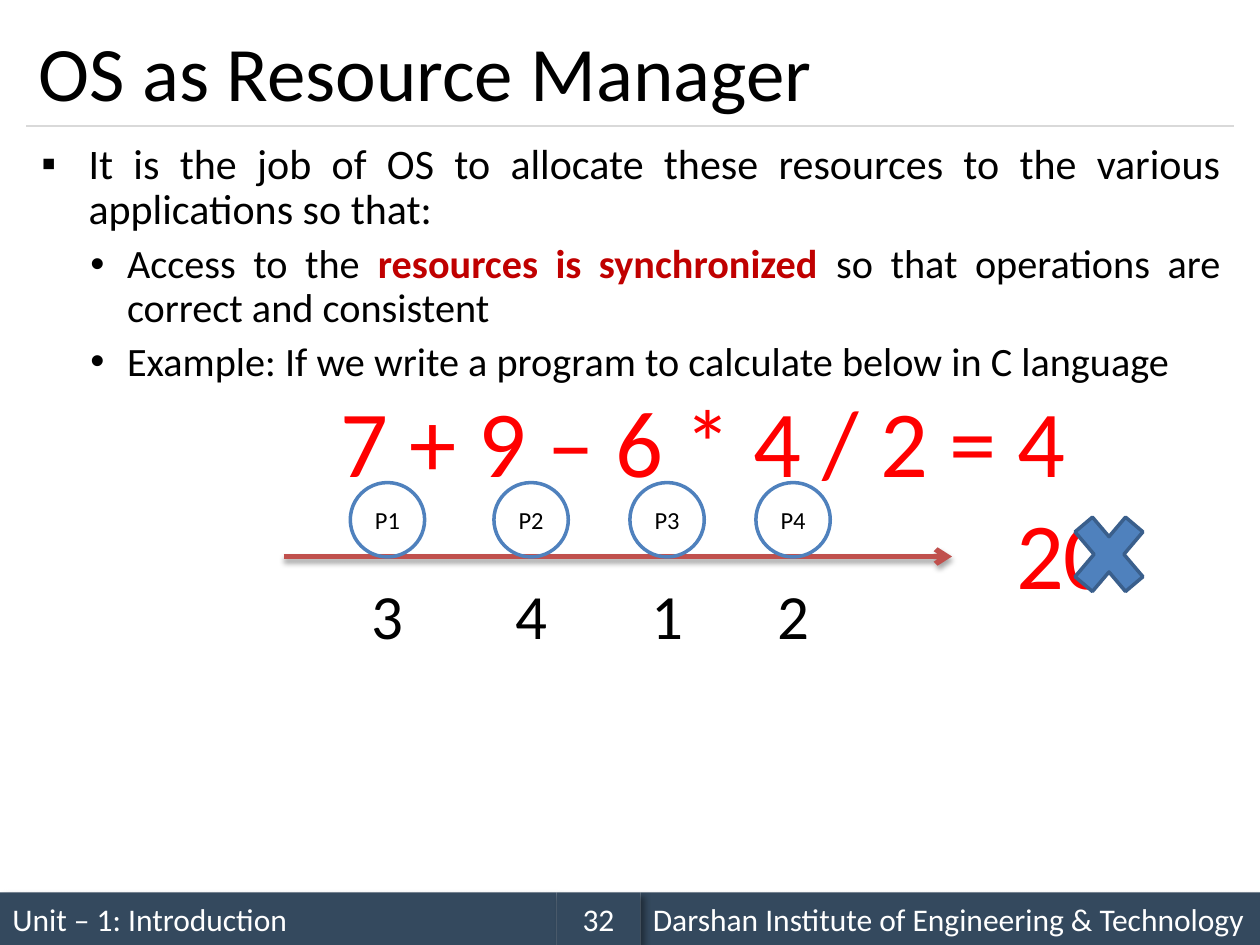
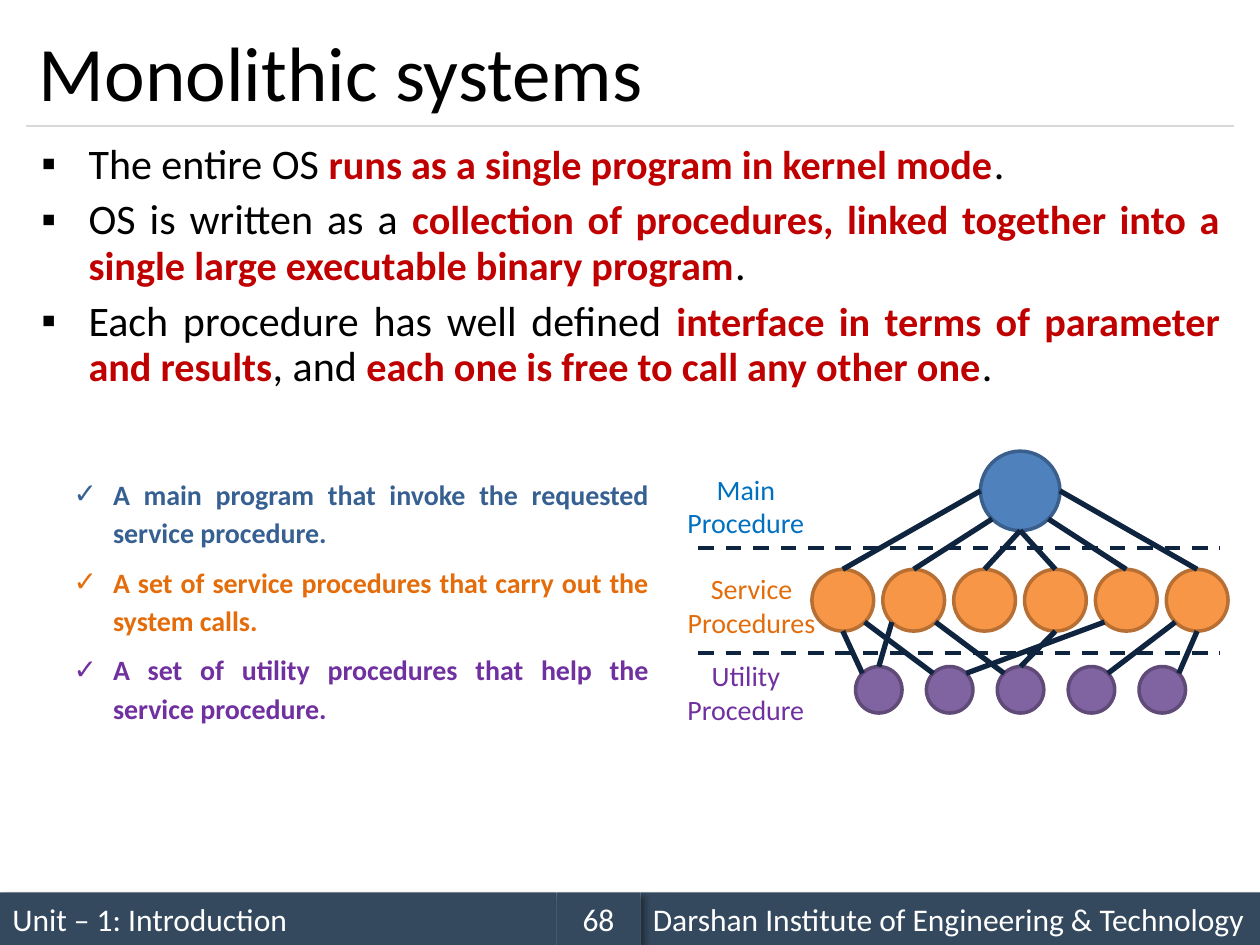
import dataclasses
import math

import lxml.etree
import pptx
import pptx.dml.color
import pptx.enum.dml
import pptx.enum.shapes
import pptx.enum.text
import pptx.oxml.ns
import pptx.util

Pt = pptx.util.Pt
Shape = pptx.enum.shapes.MSO_SHAPE
Align = pptx.enum.text.PP_ALIGN
Anchor = pptx.enum.text.MSO_ANCHOR

DIAGONAL = math.sqrt(0.5)
DIRECTIONS = {
    "top": (0, -1), "bottom": (0, 1), "left": (-1, 0), "right": (1, 0),
    "top left": (-DIAGONAL, -DIAGONAL), "top right": (DIAGONAL, -DIAGONAL),
    "bottom left": (-DIAGONAL, DIAGONAL), "bottom right": (DIAGONAL, DIAGONAL),
}


@dataclasses.dataclass
class ListStyle:
    size: float
    left: float
    hanging: float = 0
    bullet: str = ""
    level: int = 0
    color: str = "000000"
    bold: bool = False
    line_spacing: float = 0.9
    before: float = 6
    after: float = 0


POINT = ListStyle(24, 27, 27, "▪")
SUBPOINT = ListStyle(23, 49, 21, "•", level=1)


def rgb(color):
    return pptx.dml.color.RGBColor.from_string(color)


def add_element(parent, tag, **attributes):
    element = lxml.etree.SubElement(parent, pptx.oxml.ns.qn(tag))
    for name, value in attributes.items():
        element.set(name, str(value))
    return element


class Deck:
    font = "Calibri"
    black = "000000"
    white = "FFFFFF"
    emphasis = "C00000"
    band = "34495E"
    rule = "D9D9D9"

    def __init__(self):
        self.presentation = pptx.Presentation()
        self.presentation.slide_width = Pt(720)
        self.presentation.slide_height = Pt(540)
        self.slide = None

    def new_slide(self, title, number):
        layout = self.presentation.slide_layouts[1]
        self.slide = self.presentation.slides.add_slide(layout)
        self.footer(0, 318, "Unit – 1: Introduction")
        self.line((15, 72), (705, 72), self.rule, 0.75)
        self.footer(366, 354, "Darshan Institute of Engineering & Technology")
        self.footer(318, 48, str(number), Align.CENTER)
        shape = self.slide.shapes.title
        self.place(shape, 15, 9, 690, 63)
        self.set_text(shape, title, 44, self.black, Align.LEFT)

    def place(self, shape, left, top, width, height):
        shape.left, shape.top = Pt(left), Pt(top)
        shape.width, shape.height = Pt(width), Pt(height)

    def format_run(self, run, size, color, bold=False):
        run.font.name = self.font
        run.font.size = Pt(size)
        run.font.bold = bold
        run.font.color.rgb = rgb(color)

    def set_text(self, shape, text, size, color, alignment, anchor=Anchor.MIDDLE):
        frame = shape.text_frame
        frame.text = text
        frame.vertical_anchor = anchor
        frame.auto_size = pptx.enum.text.MSO_AUTO_SIZE.NONE
        for paragraph in frame.paragraphs:
            paragraph.alignment = alignment
            for run in paragraph.runs:
                self.format_run(run, size, color)

    def footer(self, left, width, text, alignment=Align.LEFT):
        shape = self.shape(Shape.RECTANGLE, left, 510, width, 30, fill=self.band)
        self.set_text(shape, text, 18, self.white, alignment)
        self.shadow(shape, 40, 4, 3, 45)

    def shadow(self, shape, opacity, blur, distance, angle):
        properties = shape.element.spPr
        effects = properties.find(pptx.oxml.ns.qn("a:effectLst"))
        outer = add_element(effects, "a:outerShdw", blurRad=Pt(blur), dist=Pt(distance),
                            dir=angle * 60000, rotWithShape=0)
        color = add_element(outer, "a:srgbClr", val=self.black)
        add_element(color, "a:alpha", val=opacity * 1000)

    def shape(self, kind, left, top, width, height, fill=None, outline=None):
        shape = self.slide.shapes.add_shape(kind, Pt(left), Pt(top), Pt(width), Pt(height))
        shape.shadow.inherit = False
        if fill:
            shape.fill.solid()
            shape.fill.fore_color.rgb = rgb(fill)
        else:
            shape.fill.background()
        if outline:
            shape.line.color.rgb = rgb(outline)
            shape.line.width = Pt(2)
        else:
            shape.line.fill.background()
        return shape

    def circle(self, center, diameter, fill=None, outline=None, text="", size=14):
        x, y = center
        shape = self.shape(Shape.OVAL, x - diameter / 2, y - diameter / 2,
                           diameter, diameter, fill, outline)
        if text:
            frame = shape.text_frame
            frame.margin_left = frame.margin_right = 0
            frame.margin_top = frame.margin_bottom = 0
            self.set_text(shape, text, size, self.black, Align.CENTER)
        return shape

    def line(self, start, end, color, width, dashed=False, arrow=False):
        points = [Pt(value) for value in (*start, *end)]
        straight = pptx.enum.shapes.MSO_CONNECTOR.STRAIGHT
        connector = self.slide.shapes.add_connector(straight, *points)
        connector.line.color.rgb = rgb(color)
        connector.line.width = Pt(width)
        if dashed:
            connector.line.dash_style = pptx.enum.dml.MSO_LINE.DASH
        properties = connector.element.spPr
        if arrow:
            outline = properties.find(pptx.oxml.ns.qn("a:ln"))
            add_element(outline, "a:tailEnd", type="arrow")
        add_element(properties, "a:effectLst")
        return connector

    def label(self, left, top, width, height, text, size, color):
        box = self.slide.shapes.add_textbox(Pt(left), Pt(top), Pt(width), Pt(height))
        self.set_text(box, text, size, color, Align.CENTER, Anchor.TOP)
        box.text_frame.word_wrap = False

    def fill_list(self, frame, entries):
        frame.word_wrap = True
        frame.auto_size = pptx.enum.text.MSO_AUTO_SIZE.NONE
        for index, (style, text) in enumerate(entries):
            paragraph = frame.add_paragraph() if index else frame.paragraphs[0]
            paragraph.level = style.level
            properties = paragraph._p.get_or_add_pPr()
            properties.set("marL", str(Pt(style.left)))
            properties.set("indent", str(-Pt(style.hanging)))
            if style.bullet:
                add_element(properties, "a:buFont", typeface="Arial")
                add_element(properties, "a:buChar", char=style.bullet)
            else:
                add_element(properties, "a:buNone")
            paragraph.alignment = Align.JUSTIFY
            paragraph.line_spacing = style.line_spacing
            paragraph.space_before = Pt(style.before if index else 0)
            paragraph.space_after = Pt(style.after)
            for position, part in enumerate(text.split("|")):
                run = paragraph.add_run()
                run.text = part
                if position % 2:
                    self.format_run(run, 23, self.emphasis, True)
                else:
                    self.format_run(run, style.size, style.color, style.bold)

    def body(self, entries):
        shape = self.slide.placeholders[1]
        self.place(shape, 15, 78, 690, 420)
        frame = shape.text_frame
        frame.margin_left = Pt(8.6)
        frame.vertical_anchor = Anchor.TOP
        self.fill_list(frame, entries)

    def list_box(self, left, top, width, height, entries):
        box = self.slide.shapes.add_textbox(Pt(left), Pt(top), Pt(width), Pt(height))
        self.fill_list(box.text_frame, entries)


def edge_point(circle, direction):
    across, down = DIRECTIONS[direction]
    radius = circle.width.pt / 2
    return (circle.left.pt + radius * (1 + across), circle.top.pt + radius * (1 + down))


def resource_manager(deck):
    deck.new_slide("OS as Resource Manager", 32)
    red = "FF0000"
    deck.body([
        (POINT, "It is the job of OS to allocate these resources to the various "
                "applications so that:"),
        (SUBPOINT, "Access to the |resources is synchronized |so that operations are "
                   "correct and consistent"),
        (SUBPOINT, "Example: If we write a program to calculate below in C language"),
        (ListStyle(54, 171, level=1, color=red), "7 + 9 – 6 * 4 / 2 = 4"),
        (ListStyle(54, 557, level=1, color=red), "20"),
    ])
    timeline = deck.line((162, 318), (544, 318), "C0504D", 3, arrow=True)
    deck.shadow(timeline, 35, 3.1, 1.8, 90)
    steps = [(221.4, "P1", "3"), (303.5, "P2", "4"), (381.2, "P3", "1"), (453.2, "P4", "2")]
    for x, process, order in steps:
        deck.circle((x, 297), 42.5, outline="4F81BD", text=process)
        deck.circle((x, 351), 42.5, text=order, size=36)
    deck.shape(Shape.MATH_MULTIPLY, 606, 284, 55.5, 65.5, "4F81BD", "3A5F8C")


def monolithic_systems(deck):
    deck.new_slide("Monolithic systems", 68)
    deck.body([
        (POINT, "The entire OS |runs as a single program in kernel mode|."),
        (POINT, "OS is written as a |collection of procedures, linked together into a "
                "single large executable binary program|."),
        (POINT, "Each procedure has well defined |interface in terms of parameter and "
                "results|, and |each one is free to call any other one|."),
    ])

    pitch = 40.5
    main_circle = deck.circle((583, 280.5), 45.4, "4F81BD", "3A5F8C")
    services = [deck.circle((481.6 + pitch * i, 343), 35.3, "F79646", "B76F34")
                for i in range(6)]
    utilities = [deck.circle((502.2 + pitch * i, 394.2), 26.6, "8064A2", "5F4A78")
                 for i in range(5)]

    main_exits = ["left", "bottom left", "bottom", "bottom", "bottom right", "right"]
    calls = [(main_circle, leaving, service, "top")
             for leaving, service in zip(main_exits, services)]
    service_calls = [
        (0, "bottom", 0, "top left"), (0, "bottom right", 1, "top left"),
        (1, "bottom left", 0, "top"), (1, "bottom right", 2, "top left"),
        (3, "bottom", 2, "top"), (4, "bottom left", 1, "top right"),
        (5, "bottom left", 3, "top right"), (5, "bottom", 4, "top right"),
    ]
    calls += [(services[service], leaving, utilities[utility], entering)
              for service, leaving, utility, entering in service_calls]
    navy = "0F243E"
    for caller, leaving, callee, entering in calls:
        deck.line(edge_point(caller, leaving), edge_point(callee, entering), navy, 3)
    for y in (313, 373):
        deck.line((399, y), (697, y), navy, 2.25, dashed=True)

    for top, width, text, color in [
        (266.4, 82, "Main\nProcedure", "0070C0"),
        (323.2, 88.6, "Service\nProcedures", "E46C0A"),
        (373, 82, "Utility\nProcedure", "7030A0"),
    ]:
        deck.label(385.2, top, width, 46, text, 16, color)

    duties = [
        ("376092", "A main program that invoke the requested service procedure."),
        ("E46C0A", "A set of service procedures that carry out the system calls."),
        ("7030A0", "A set of utility procedures that help the service procedure."),
    ]
    deck.list_box(35, 266.4, 343, 153.4, [
        (ListStyle(16, 22.5, 22.5, "✓", color=color, bold=True,
                   line_spacing=1.15, before=3, after=3), text)
        for color, text in duties
    ])


def main():
    deck = Deck()
    resource_manager(deck)
    monolithic_systems(deck)
    deck.presentation.save("out.pptx")


if __name__ == "__main__":
    main()
